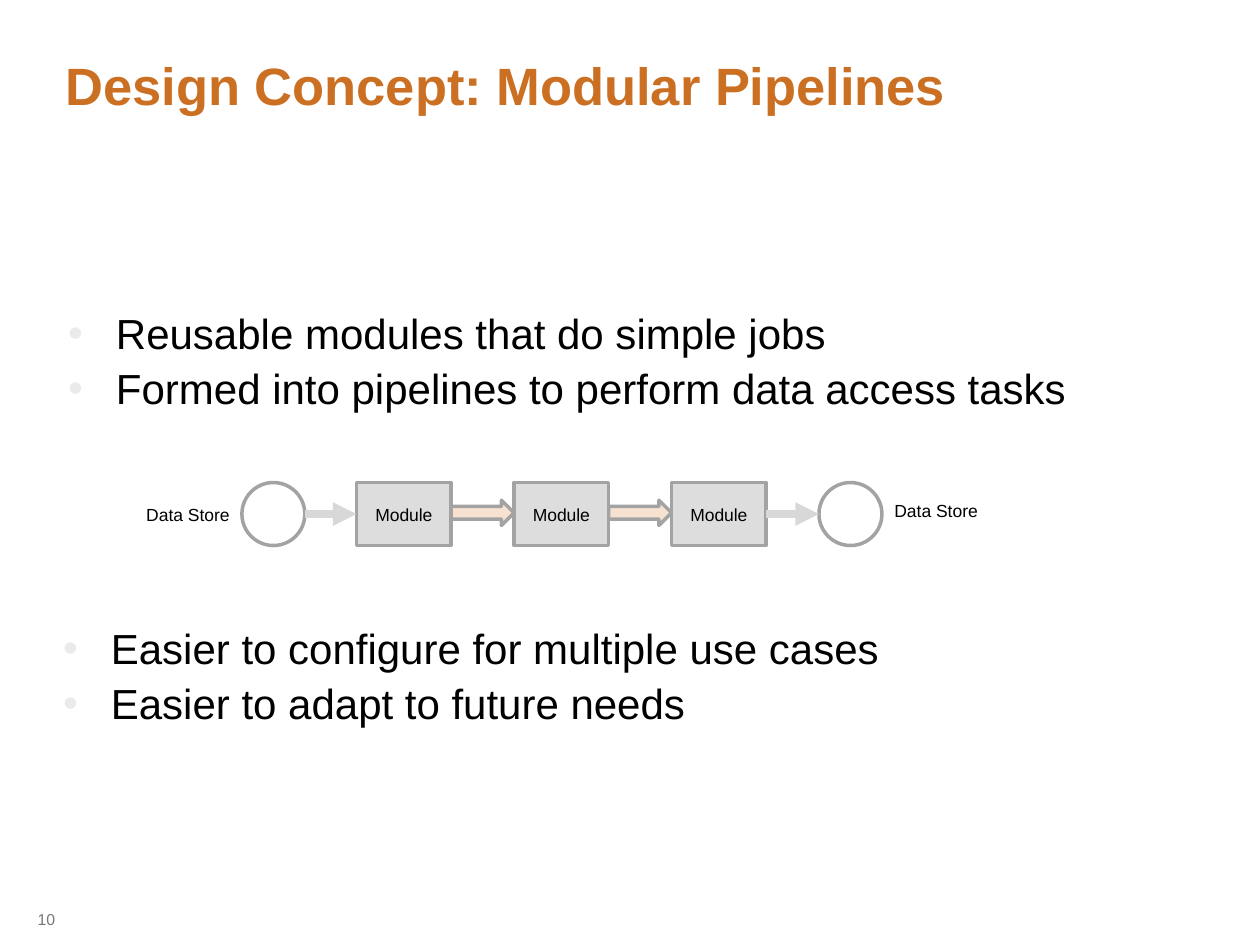
from lxml.etree import SubElement
from pptx import Presentation
from pptx.dml.color import RGBColor
from pptx.enum.shapes import MSO_CONNECTOR, MSO_SHAPE
from pptx.enum.text import MSO_ANCHOR, PP_ALIGN
from pptx.oxml.ns import qn
from pptx.util import Inches, Pt


def rgb(hex_color):
    return RGBColor.from_string(hex_color)


class SlideBuilder:
    FONT = "Arial"
    TITLE, TEXT, MUTED = "CB7023", "000000", "777777"
    OUTLINE, ARROW, BULLET = "A3A3A3", "D8D8D8", "EAEAEA"
    LINE_SPACING = 0.85

    def __init__(self, slide):
        self.slide = slide

    def style(self, paragraph, size, color=TEXT, bold=False, align=PP_ALIGN.LEFT):
        paragraph.alignment = align
        font = paragraph.font
        font.name, font.size, font.bold = self.FONT, Pt(size), bold
        font.color.rgb = rgb(color)

    def text(self, content, left, top, width, height, size, inset=True, **look):
        box = self.slide.shapes.add_textbox(
            Inches(left), Inches(top), Inches(width), Inches(height))
        frame = box.text_frame
        frame.word_wrap = True
        if not inset:
            frame.margin_left = frame.margin_right = 0
            frame.margin_top = frame.margin_bottom = 0
        frame.text = content
        for paragraph in frame.paragraphs:
            self.style(paragraph, size, **look)
        return frame

    def title(self, content, *place):
        frame = self.text(content, *place, size=30, inset=False,
                          color=self.TITLE, bold=True)
        frame.paragraphs[0].line_spacing = self.LINE_SPACING

    def bullets(self, items, *place):
        frame = self.text("\n".join(items), *place, size=24, inset=False)
        for paragraph in frame.paragraphs:
            paragraph.line_spacing = self.LINE_SPACING
            paragraph.space_before = Pt(0)
            props = paragraph._p.get_or_add_pPr()
            props.set("marL", str(Inches(0.38)))
            props.set("indent", str(-Inches(0.38)))
            # Space before as a share of the line height
            before = props.find(qn("a:spcBef"))
            before.remove(before[0])
            SubElement(before, qn("a:spcPct"), val="30000")
            # Bullet parts go ahead of the font defaults
            defaults = props.find(qn("a:defRPr"))
            bullet_color = SubElement(props, qn("a:buClr"))
            SubElement(bullet_color, qn("a:srgbClr"), val=self.BULLET)
            SubElement(props, qn("a:buFont"), typeface=self.FONT)
            SubElement(props, qn("a:buChar"), char="•")
            props.append(defaults)

    def shape(self, kind, left, top, width, height, fill, label=""):
        shape = self.slide.shapes.add_shape(
            kind, Inches(left), Inches(top), Inches(width), Inches(height))
        shape.shadow.inherit = False
        shape.fill.solid()
        shape.fill.fore_color.rgb = rgb(fill)
        shape.line.color.rgb = rgb(self.OUTLINE)
        shape.line.width = Pt(2)
        if label:
            frame = shape.text_frame
            frame.vertical_anchor = MSO_ANCHOR.MIDDLE
            frame.text = label
            self.style(frame.paragraphs[0], 10, align=PP_ALIGN.CENTER)
        return shape

    def connector(self, start, end, y):
        line = self.slide.shapes.add_connector(
            MSO_CONNECTOR.STRAIGHT, Inches(start), Inches(y), Inches(end), Inches(y))
        line.line.color.rgb = rgb(self.ARROW)
        line.line.width = Pt(4.5)
        SubElement(line.line._get_or_add_ln(), qn("a:tailEnd"), type="triangle")
        SubElement(line._element.spPr, qn("a:effectLst"))
        return line


def main():
    presentation = Presentation()
    presentation.slide_width, presentation.slide_height = Inches(10), Inches(7.5)
    builder = SlideBuilder(
        presentation.slides.add_slide(presentation.slide_layouts[6]))

    # Title and page number
    builder.title("Design Concept: Modular Pipelines", 0.52, 0.5, 8.97, 1.08)
    builder.text("10", 0.2, 7.17, 0.67, 0.25, size=9, color=builder.MUTED)

    # Concept and benefits
    builder.bullets(["Reusable modules that do simple jobs",
                     "Formed into pipelines to perform data access tasks"],
                    0.54, 2.5, 8.71, 0.67)
    builder.bullets(["Easier to configure for multiple use cases",
                     "Easier to adapt to future needs"],
                    0.5, 5, 8.71, 0.67)

    # Data stores at both ends of the pipeline
    row_top, row_height = 3.83, 0.5
    row_middle = row_top + row_height / 2
    source_left, target_left = 1.92, 6.5
    for store_left in (source_left, target_left):
        builder.shape(MSO_SHAPE.OVAL, store_left, row_top,
                      row_height, row_height, "FFFFFF")
    builder.text("Data Store", 1, 3.95, 0.92, 0.27, size=10, align=PP_ALIGN.RIGHT)
    builder.text("Data Store", 7, 3.92, 0.92, 0.27, size=10)

    # Modules with a block arrow in each gap
    first_left, module_width, gap = 2.83, 0.75, 0.5
    module_lefts = [first_left + i * (module_width + gap) for i in range(3)]
    for module_left in module_lefts[:-1]:
        builder.shape(MSO_SHAPE.RIGHT_ARROW, module_left + module_width, 3.97,
                      gap, 0.2, "F7E2D1")
    modules = [builder.shape(MSO_SHAPE.RECTANGLE, module_left, row_top,
                             module_width, row_height, "DDDDDD", "Module")
               for module_left in module_lefts]

    # Flow from the source store and into the target store
    inflow = builder.connector(source_left + row_height, first_left, row_middle)
    inflow.end_connect(modules[0], 1)
    outflow = builder.connector(module_lefts[-1] + module_width, target_left, row_middle)
    outflow.begin_connect(modules[-1], 3)

    presentation.save("out.pptx")


if __name__ == "__main__":
    main()
